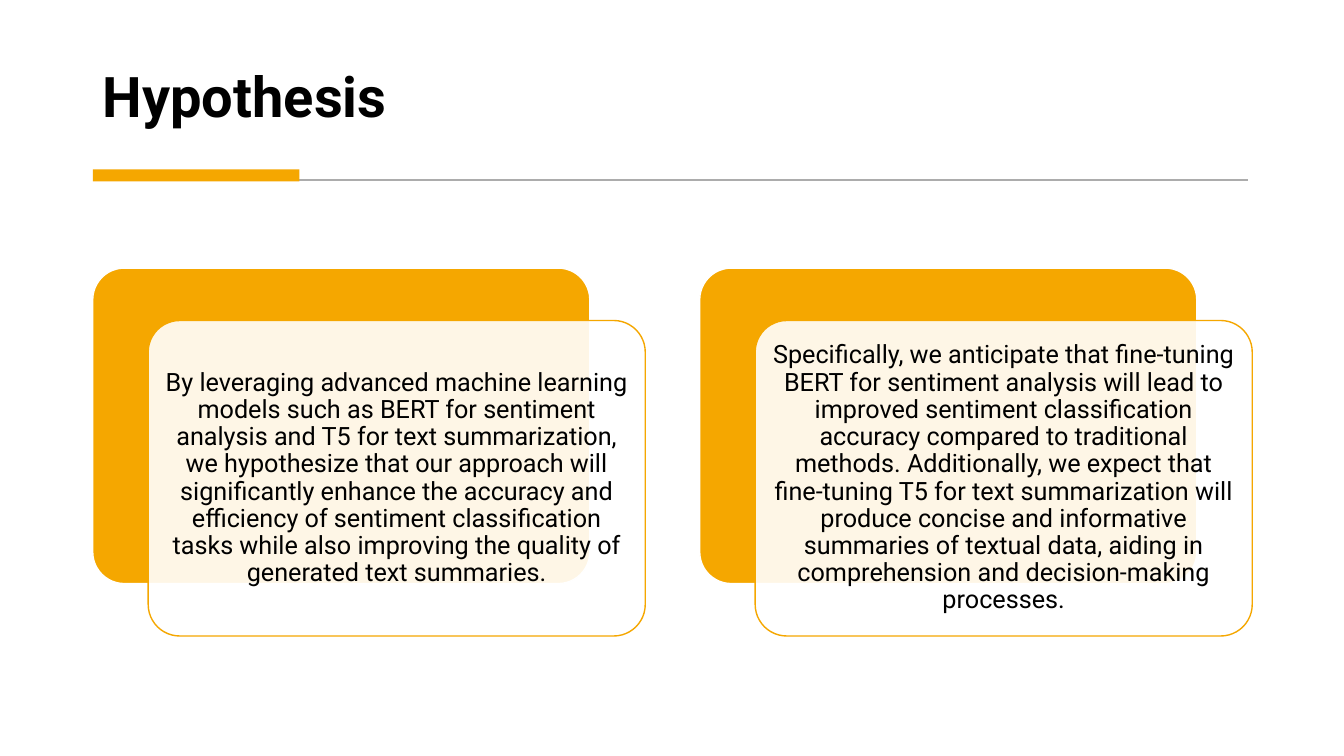
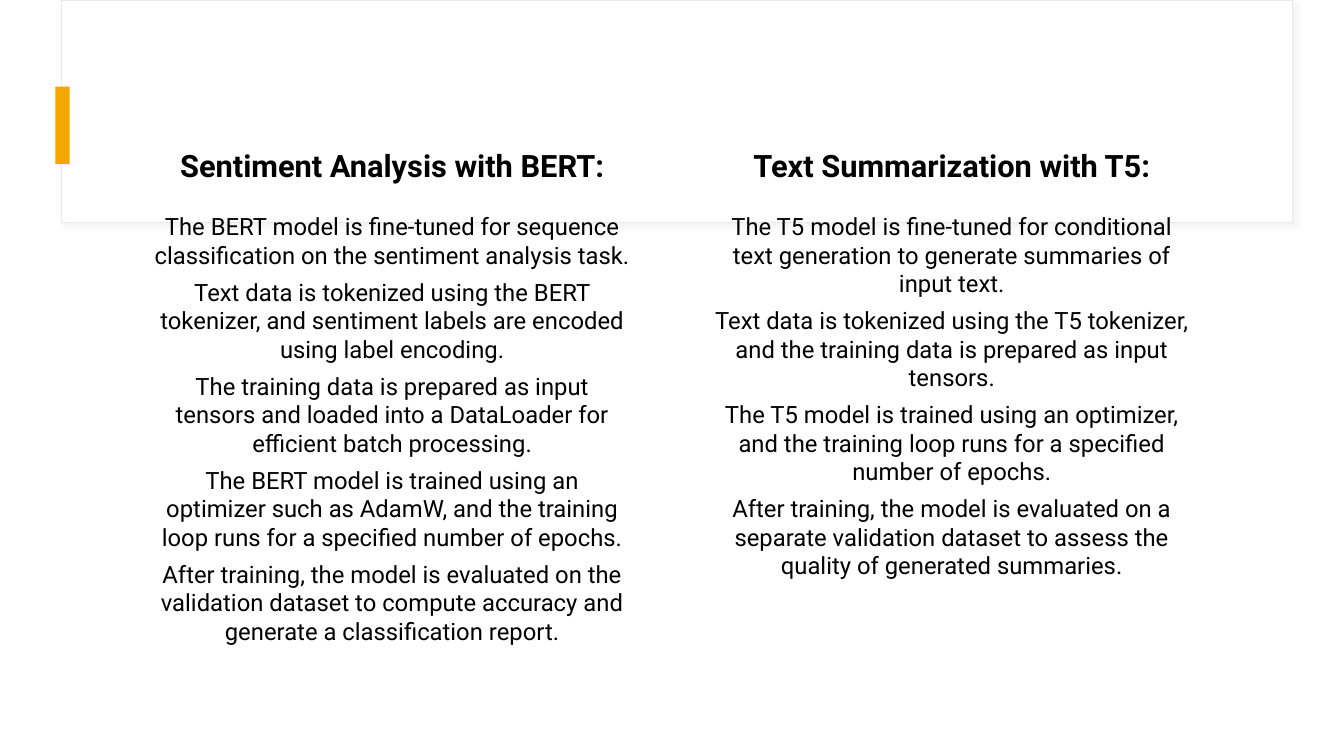
from lxml import etree
from pptx import Presentation
from pptx.dml.color import RGBColor
from pptx.enum.shapes import MSO_CONNECTOR, MSO_SHAPE
from pptx.enum.text import MSO_ANCHOR, PP_ALIGN
from pptx.oxml.ns import qn
from pptx.util import Inches, Pt

RECTANGLE = MSO_SHAPE.RECTANGLE
ROUNDED = MSO_SHAPE.ROUNDED_RECTANGLE
STRAIGHT = MSO_CONNECTOR.STRAIGHT
LEFT, CENTER = PP_ALIGN.LEFT, PP_ALIGN.CENTER
TOP, MIDDLE, BOTTOM = MSO_ANCHOR.TOP, MSO_ANCHOR.MIDDLE, MSO_ANCHOR.BOTTOM

ORANGE = RGBColor(0xF5, 0xA7, 0x00)
WHITE = RGBColor(0xFF, 0xFF, 0xFF)
BLACK = RGBColor(0x00, 0x00, 0x00)
RULE_GRAY = RGBColor(0xAC, 0xAC, 0xAC)
FRAME_GRAY = RGBColor(0xE9, 0xE9, 0xE9)
SHADOW_GRAY = RGBColor(0xD9, 0xD9, 0xD9)

FONT = "Roboto"
TITLE_FONT = {"name": FONT, "size": Pt(40), "bold": True}
CARD_FONT = {"name": FONT, "size": Pt(18), "bold": False}
HEADING_FONT = {"name": FONT, "size": Pt(22), "bold": True}
BODY_FONT = {"name": FONT, "size": Pt(17), "bold": False}

TITLE = "Hypothesis"
HYPOTHESES = [
    "By leveraging advanced machine learning models such as BERT for sentiment "
    "analysis and T5 for text summarization, we hypothesize that our approach will "
    "significantly enhance the accuracy and efficiency of sentiment classification "
    "tasks while also improving the quality of generated text summaries.",
    "Specifically, we anticipate that fine-tuning BERT for sentiment analysis will "
    "lead to improved sentiment classification accuracy compared to traditional "
    "methods. Additionally, we expect that fine-tuning T5 for text summarization "
    "will produce concise and informative summaries of textual data, aiding in "
    "comprehension and decision-making processes.",
]
METHODS = [
    ("Sentiment Analysis with BERT:", [
        "The BERT model is fine-tuned for sequence classification on the sentiment "
        "analysis task.",
        "Text data is tokenized using the BERT tokenizer, and sentiment labels are "
        "encoded using label encoding.",
        "The training data is prepared as input tensors and loaded into a DataLoader "
        "for efficient batch processing.",
        "The BERT model is trained using an optimizer such as AdamW, and the training "
        "loop runs for a specified number of epochs.",
        "After training, the model is evaluated on the validation dataset to compute "
        "accuracy and generate a classification report.",
    ]),
    ("Text Summarization with T5:", [
        "The T5 model is fine-tuned for conditional text generation to generate "
        "summaries of input text.",
        "Text data is tokenized using the T5 tokenizer, and the training data is "
        "prepared as input tensors.",
        "The T5 model is trained using an optimizer, and the training loop runs for "
        "a specified number of epochs.",
        "After training, the model is evaluated on a separate validation dataset to "
        "assess the quality of generated summaries.",
    ]),
]

SLIDE_WIDTH, SLIDE_HEIGHT = 13.33, 7.5
MARGIN = 0.92
CARD_WIDTH, CARD_HEIGHT, CARD_TOP, CARD_PITCH = 4.93, 3.13, 2.66, 6.02
CARD_SHIFT_X, CARD_SHIFT_Y = 0.55, 0.52
COLUMN_LEFT, COLUMN_WIDTH, COLUMN_PITCH = 1.53, 4.72, 5.55


def write(frame, paragraphs, style, align=CENTER, anchor=TOP, inset=0,
          line_spacing=1.0, space_after=0):
    margins = {"margin_left": inset, "margin_right": inset,
               "margin_top": inset, "margin_bottom": inset}
    for name, value in margins.items():
        setattr(frame, name, Inches(value))
    frame.word_wrap = True
    frame.vertical_anchor = anchor
    for index, text in enumerate(paragraphs):
        paragraph = frame.paragraphs[0] if index == 0 else frame.add_paragraph()
        layout = {"text": text, "alignment": align, "line_spacing": line_spacing,
                  "space_before": Pt(0), "space_after": Pt(space_after)}
        for name, value in layout.items():
            setattr(paragraph, name, value)
        for name, value in style.items():
            setattr(paragraph.font, name, value)
        paragraph.font.color.rgb = BLACK


def add_block(slide, box, fill, line=None, line_width=1, kind=RECTANGLE):
    shape = slide.shapes.add_shape(kind, *map(Inches, box))
    shape.shadow.inherit = False
    shape.fill.solid()
    shape.fill.fore_color.rgb = fill
    if line is None:
        shape.line.fill.background()
    else:
        shape.line.color.rgb = line
        shape.line.width = Pt(line_width)
    if kind == ROUNDED:
        shape.adjustments[0] = 0.1
    return shape


def set_alpha(color_element, percent):
    etree.SubElement(color_element, qn("a:alpha"), val=str(percent * 1000))


def add_soft_shadow(shape):
    effects = shape._element.spPr.find(qn("a:effectLst"))
    shadow = etree.SubElement(effects, qn("a:outerShdw"), blurRad=str(Pt(4)),
                              dist=str(Pt(3)), dir=str(45 * 60000))
    color = etree.SubElement(shadow, qn("a:srgbClr"), val=str(SHADOW_GRAY))
    set_alpha(color, 30)


def add_text(slide, box, paragraphs, style, **layout):
    text_box = slide.shapes.add_textbox(*map(Inches, box))
    write(text_box.text_frame, paragraphs, style, **layout)


def add_title(slide, text):
    title = slide.shapes.title
    box = {"left": MARGIN, "top": 0.28, "width": 11.49, "height": 1.11}
    for name, value in box.items():
        setattr(title, name, Inches(value))
    write(title.text_frame, [text], TITLE_FONT, align=LEFT, anchor=BOTTOM,
          inset=0.1, line_spacing=0.9)
    rule = slide.shapes.add_connector(
        STRAIGHT, *map(Inches, (0.95, 1.79, 12.38, 1.79)))
    rule.line.color.rgb = RULE_GRAY
    rule.line.width = Pt(1.5)
    etree.SubElement(rule._element.spPr, qn("a:effectLst"))
    add_block(slide, (MARGIN, 1.68, 2.05, 0.12), ORANGE)


def add_card(slide, index, text):
    left = MARGIN + index * CARD_PITCH
    add_block(slide, (left, CARD_TOP, CARD_WIDTH, CARD_HEIGHT),
              ORANGE, WHITE, kind=ROUNDED)
    front = add_block(
        slide, (left + CARD_SHIFT_X, CARD_TOP + CARD_SHIFT_Y, CARD_WIDTH, CARD_HEIGHT),
        WHITE, ORANGE, kind=ROUNDED)
    set_alpha(front._element.spPr.find(qn("a:solidFill"))[0], 90)
    write(front.text_frame, [text], CARD_FONT, anchor=MIDDLE, inset=0.07,
          line_spacing=0.9)


def add_method(slide, index, heading, steps):
    left = COLUMN_LEFT + index * COLUMN_PITCH
    add_text(slide, (left, 1.46, COLUMN_WIDTH, 0.54), [heading], HEADING_FONT)
    add_text(slide, (left, 2.1, COLUMN_WIDTH, 4.07), steps, BODY_FONT, space_after=6)


def main():
    presentation = Presentation()
    presentation.slide_width = Inches(SLIDE_WIDTH)
    presentation.slide_height = Inches(SLIDE_HEIGHT)
    title_only, blank = presentation.slide_layouts[5], presentation.slide_layouts[6]

    hypothesis_slide = presentation.slides.add_slide(title_only)
    add_title(hypothesis_slide, TITLE)
    for index, text in enumerate(HYPOTHESES):
        add_card(hypothesis_slide, index, text)

    method_slide = presentation.slides.add_slide(blank)
    header = add_block(method_slide, (0.61, 0, 12.21, 2.21), WHITE, FRAME_GRAY, 0.75)
    add_soft_shadow(header)
    add_block(method_slide, (0.55, 0.86, 0.14, 0.77), ORANGE)
    for index, (heading, steps) in enumerate(METHODS):
        add_method(method_slide, index, heading, steps)

    presentation.save("out.pptx")


if __name__ == "__main__":
    main()
